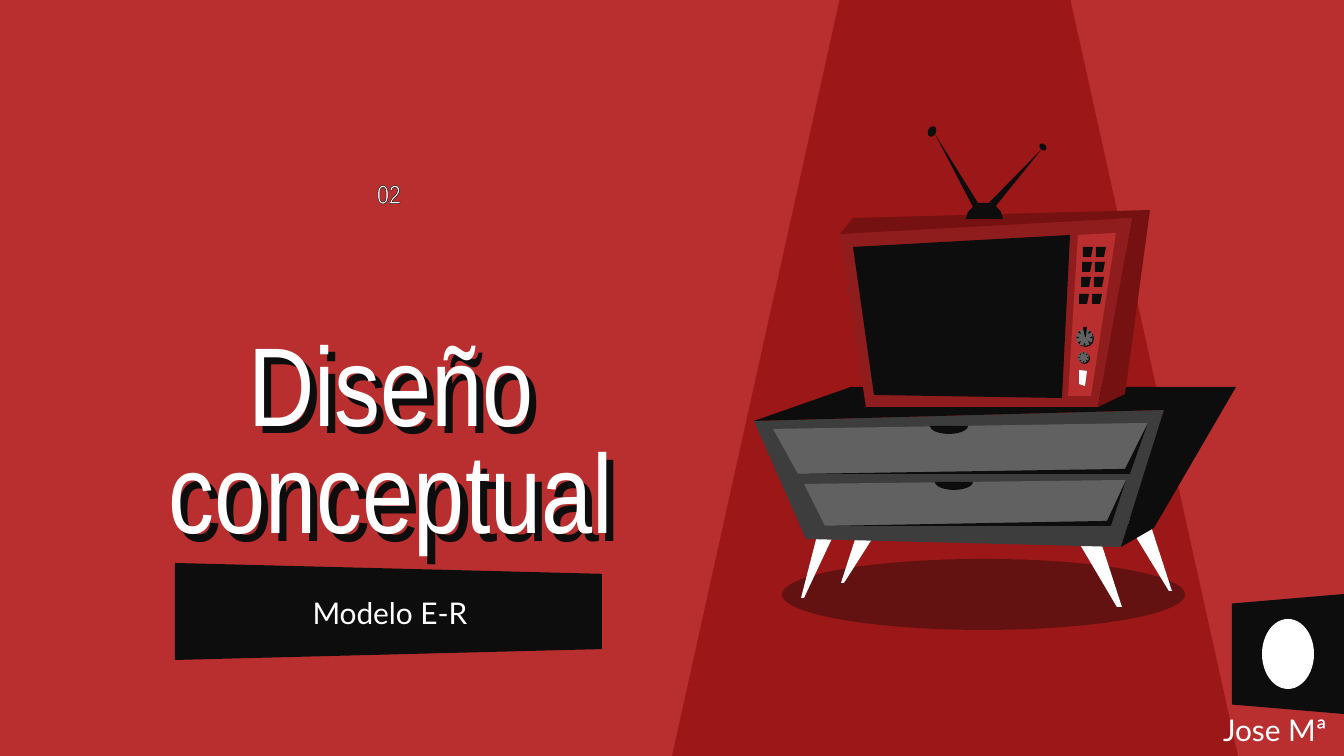
"""Build a section slide with a retro television on a spotlit stage."""
from dataclasses import dataclass
from math import cos, pi, sin

from lxml import etree
from pptx import Presentation
from pptx.dml.color import RGBColor
from pptx.enum.shapes import MSO_SHAPE
from pptx.enum.text import MSO_ANCHOR, PP_ALIGN
from pptx.oxml.ns import qn
from pptx.util import Pt

PX = 914400 / 134.4
OVAL, TRAP = MSO_SHAPE.OVAL, MSO_SHAPE.TRAPEZOID
TOP, MID = MSO_ANCHOR.TOP, MSO_ANCHOR.MIDDLE


@dataclass(frozen=True)
class Theme:
    red: str = "B92F2F"
    beam: str = "9C1717"
    floor: str = "631111"
    front: str = "901D1D"
    side: str = "751111"
    black: str = "0D0D0D"
    dark: str = "3D3D3D"
    grey: str = "616161"
    white: str = "FFFFFF"
    head: str = "Arial Narrow"
    body: str = "Lato"
    big: int = 60
    mid: int = 16
    small: int = 14


T = Theme()

TEXTS = [
    ("Diseño conceptual", (79, 380, 624, 136),
     dict(size=T.big, face=T.head, gap=0.8, shade=True)),
    ("02", (320, 171, 138, 136),
     dict(size=T.small, face=T.head, anchor=TOP, edge=True)),
    ("Jose Mª", (1206, 702, 138, 55), {}),
    ("Modelo E-R", (191, 575, 398, 75), {}),
]

PANELS = [
    ((672, 0, 566, 756), T.beam, 0, 0.296),
    ((340, 398, 97, 427), T.black, 90, 0.112),
    ((1228, 598, 120, 112), T.black, 270, 0.085),
]

LEGS = [
    [(1075, 536), (1117, 607), (1122, 607), (1099, 536)],
    [(1125, 519), (1169, 591), (1172, 591), (1149, 520)],
    [(890, 511), (864, 512), (841, 583), (844, 583)],
    [(818, 532), (801, 598), (804, 598), (835, 532)],
]
CHEST = [
    (T.dark, [(1164, 410), (754, 421), (806, 539), (1121, 547)]),
    (T.black, [(851, 387), (754, 421), (1164, 410), (1121, 547),
               (1154, 528), (1236, 387)]),
    (T.grey, [(1148, 423), (773, 429), (798, 474), (1130, 474)]),
    (T.black, [(1148, 423), (1125, 469), (798, 474), (1130, 474)]),
    (T.grey, [(1126, 480), (804, 484), (825, 526), (1111, 526)]),
    (T.black, [(1126, 480), (1107, 521), (825, 526), (1111, 526)]),
]
HANDLES = [(930, 426, 38, 8), (935, 482, 38, 8)]
SET = [
    (T.front, [(1132, 218), (840, 234), (866, 407), (1098, 407)]),
    (T.side, [(1150, 210), (853, 218), (840, 234), (1132, 218),
              (1098, 407), (1125, 394)]),
    (T.black, [(935, 134), (973, 207), (968, 212), (966, 219), (1003, 219),
               (1001, 212), (996, 206), (1042, 149), (989, 203), (978, 203)]),
    (T.red, [(1116, 233), (1078, 235), (1068, 396), (1091, 396)]),
    (T.white, [(1079, 370), (1079, 384), (1085, 386), (1087, 371)]),
    (T.black, [(853, 247), (874, 395), (1062, 398), (1070, 235)]),
]
TIPS = [((928, 126, 8, 11), 25), ((1040, 143, 6, 8), -45)]
KEYS = [(1083, 247), (1082, 262), (1081, 277), (1079, 294)]
KNOBS = [(1076, 329, 17), (1078, 352, 11)]
POINTER = [(1083, 327), (1085, 337), (1086, 337), (1087, 327)]


def emu(box):
    return [round(v * PX) for v in box]


def paint(shape, color):
    shape.shadow.inherit = False
    shape.fill.solid()
    shape.fill.fore_color.rgb = RGBColor.from_string(color)
    shape.line.fill.background()
    return shape


def preset(shapes, kind, box, color, turn=0):
    shape = paint(shapes.add_shape(kind, *emu(box)), color)
    shape.rotation = turn
    return shape


def poly(shapes, points, color):
    first, *rest = [emu(p) for p in points]
    path = shapes.build_freeform(*first)
    path.add_line_segments(rest, close=True)
    paint(path.convert_to_shape(), color)


def bowl(x, y, w, h):
    return [(x + w / 2 * (1 + cos(pi * i / 12)), y + h * sin(pi * i / 12))
            for i in range(13)]


def tick(x, y, r, turn):
    spots = [(0.6, 0), (0.95, -0.14), (0.95, 0.14)]
    return [(x + r * k * cos(turn + d), y + r * k * sin(turn + d))
            for k, d in spots]


def solid(node, color):
    fill = etree.SubElement(node, qn("a:solidFill"))
    etree.SubElement(fill, qn("a:srgbClr"), val=color)


def write(shapes, text, box, size=T.mid, face=T.body, anchor=MID,
          gap=None, shade=False, edge=False):
    item = shapes.add_textbox(*emu(box))
    frame = item.text_frame
    frame.word_wrap = True
    frame.vertical_anchor = anchor
    para = frame.paragraphs[0]
    para.alignment = PP_ALIGN.CENTER
    if gap:
        para.line_spacing = gap
    run = para.add_run()
    run.text = text
    run.font.size = Pt(size)
    run.font.name = face
    run.font.color.rgb = RGBColor.from_string(T.white)
    if edge:
        line = etree.Element(qn("a:ln"), w=str(Pt(1.5)))
        solid(line, T.black)
        run.font._element.insert(0, line)
    if shade:
        effect = etree.SubElement(item._element.spPr, qn("a:effectLst"))
        cast = etree.SubElement(effect, qn("a:outerShdw"), dist=str(round(10 * PX)),
                                dir="2700000", algn="bl", rotWithShape="0")
        etree.SubElement(cast, qn("a:srgbClr"), val=T.black)


def draw(art):
    preset(art, OVAL, (782, 559, 403, 71), T.floor)
    for leg in LEGS:
        poly(art, leg, T.white)
    for color, points in CHEST:
        poly(art, points, color)
    for box in HANDLES:
        poly(art, bowl(*box), T.black)
    for color, points in SET:
        poly(art, points, color)
    for box, turn in TIPS:
        preset(art, OVAL, box, T.black, turn)
    for left, y in KEYS:
        for x in (left, left + 13):
            poly(art, [(x, y), (x, y + 10), (x + 8, y + 10), (x + 10, y)], T.black)
    for x, y, d in KNOBS:
        preset(art, OVAL, (x + 1, y + 1, d, d), T.black)
        preset(art, OVAL, (x, y, d, d), T.grey)
        for i in range(8):
            poly(art, tick(x + d / 2, y + d / 2, d / 2, i * pi / 4), T.black)
    poly(art, POINTER, T.black)


def main():
    deck = Presentation()
    deck.slide_width, deck.slide_height = emu((1344, 756))
    slide = deck.slides.add_slide(deck.slide_layouts[6])
    back = slide.background.fill
    back.solid()
    back.fore_color.rgb = RGBColor.from_string(T.red)
    shapes = slide.shapes
    for box, color, turn, slant in PANELS:
        preset(shapes, TRAP, box, color, turn).adjustments[0] = slant
    for text, box, style in TEXTS:
        write(shapes, text, box, **style)
    draw(shapes.add_group_shape().shapes)
    preset(shapes, OVAL, (1262, 619, 52, 70), T.white)
    deck.save("out.pptx")


if __name__ == "__main__":
    main()
